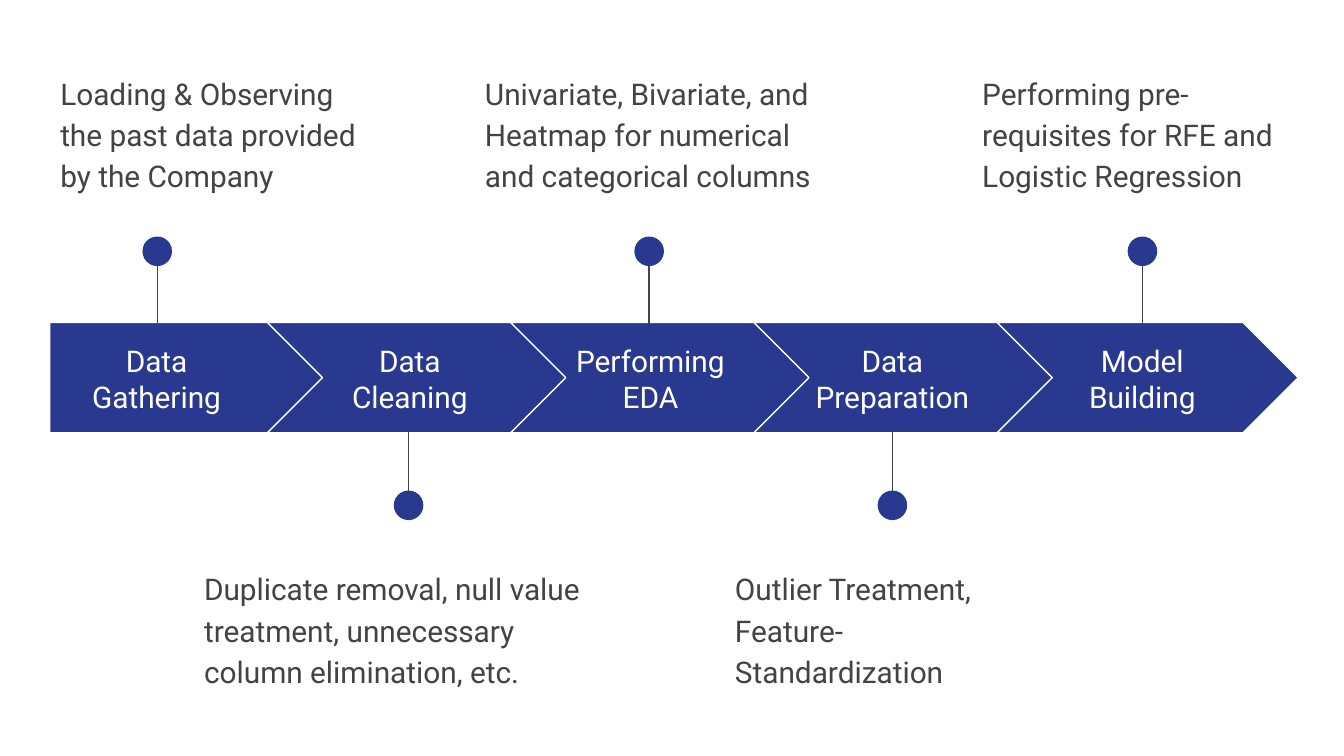
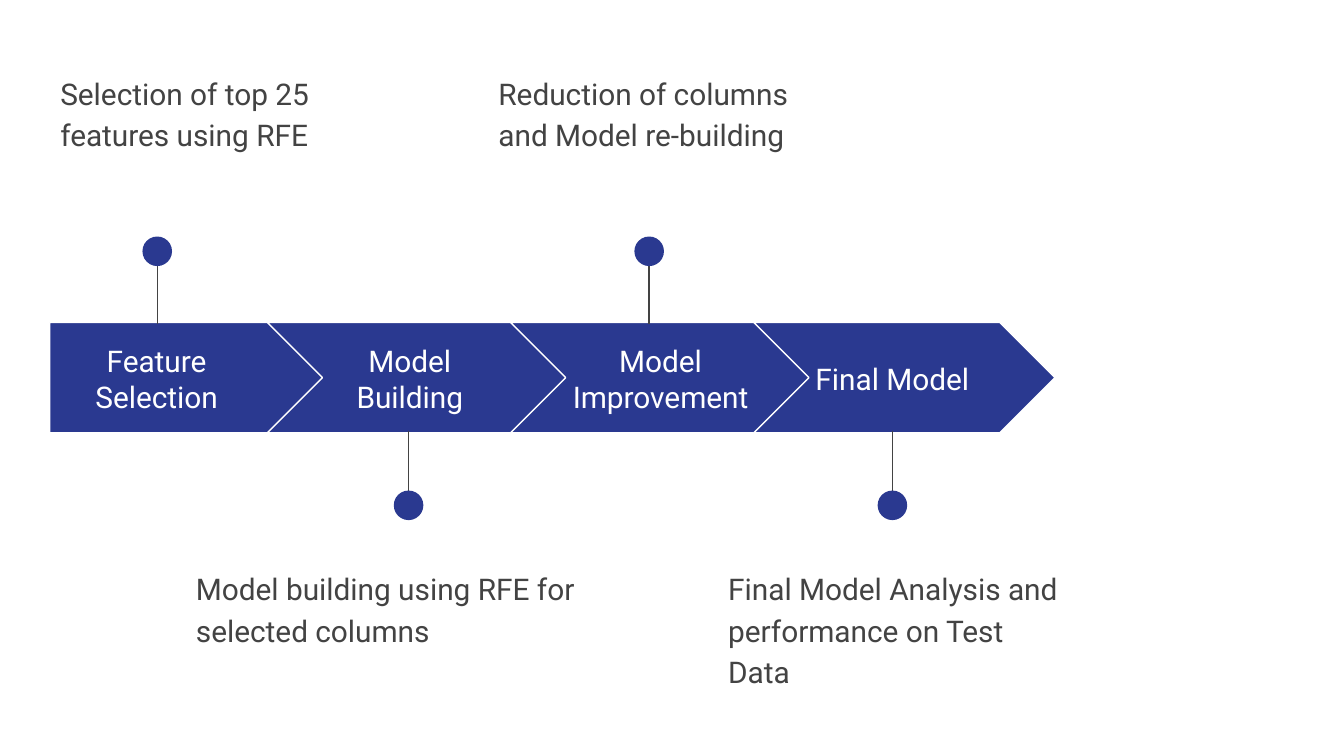
from lxml.etree import SubElement
from pptx import Presentation
from pptx.dml.color import RGBColor
from pptx.enum.shapes import MSO_CONNECTOR, MSO_SHAPE
from pptx.enum.text import MSO_ANCHOR, PP_ALIGN
from pptx.oxml.ns import qn
from pptx.util import Inches, Pt

BLUE = RGBColor(0x2A, 0x39, 0x90)
GREY = RGBColor(0x43, 0x43, 0x43)
WHITE = RGBColor(0xFF, 0xFF, 0xFF)
FONT = "Roboto"

ARROW_TOP, ARROW_HEIGHT = 2.4, 0.82
ARROW_BOTTOM = ARROW_TOP + ARROW_HEIGHT
FIRST_LEFT, FIRST_WIDTH = 0.37, 2.05
CHEVRON_LEFT, CHEVRON_WIDTH, CHEVRON_STEP = 1.99, 2.24, 1.81
LABEL_LEFTS = (0.37, 2.33, 4.12, 5.92, 7.78)
PIN_CENTERS = (1.17, 3.04, 4.83, 6.64, 8.5)
DOT = 0.22
DOT_TOP_ABOVE, DOT_TOP_BELOW = 1.76, 3.65
NOTE_TOP_ABOVE, NOTE_TOP_BELOW, NOTE_HEIGHT = 0.42, 4.11, 0.99

# Each step: label, label width, note, note left, note width
PROCESSES = [
    [
        ("Data Gathering", 1.59,
         "Loading & Observing the past data provided by the Company", 0.35, 2.45),
        ("Data Cleaning", 1.44,
         "Duplicate removal, null value treatment, unnecessary column elimination, etc.",
         1.42, 3.2),
        ("Performing EDA", 1.44,
         "Univariate, Bivariate, and Heatmap for numerical and categorical columns",
         3.51, 2.65),
        ("Data Preparation", 1.44,
         "Outlier Treatment, Feature-Standardization", 5.37, 2.55),
        ("Model Building", 1.44,
         "Performing pre-requisites for RFE and Logistic Regression", 7.21, 2.55),
    ],
    [
        ("Feature Selection", 1.59,
         "Selection of top 25 features using RFE", 0.35, 2.45),
        ("Model Building", 1.44,
         "Model building using RFE for selected columns", 1.36, 3.36),
        ("Model Improvement", 1.59,
         "Reduction of columns and Model re-building", 3.61, 2.45),
        ("Final Model", 1.44,
         "Final Model Analysis and performance on Test Data", 5.32, 2.74),
    ],
]


def add_text(slide, text, left, top, width, height, color):
    """Add a wrapped text box and return its frame for further formatting."""
    frame = slide.shapes.add_textbox(
        Inches(left), Inches(top), Inches(width), Inches(height)).text_frame
    frame.word_wrap = True
    frame.margin_left = frame.margin_right = Inches(0.1)
    frame.margin_top = frame.margin_bottom = Inches(0.1)
    frame.text = text
    font = frame.paragraphs[0].runs[0].font
    font.name = FONT
    font.size = Pt(16)
    font.color.rgb = color
    return frame


def add_pin(slide, center, above):
    """Add a grouped stem and dot that tie an arrow to its note."""
    dot_top = DOT_TOP_ABOVE if above else DOT_TOP_BELOW
    stem_start, stem_end = (1.8, ARROW_TOP + 0.01) if above else (3.82, ARROW_BOTTOM - 0.01)
    pin = slide.shapes.add_group_shape()
    stem = pin.shapes.add_connector(
        MSO_CONNECTOR.STRAIGHT, Inches(center), Inches(stem_start),
        Inches(center), Inches(stem_end))
    stem.line.color.rgb = GREY
    stem.line.width = Pt(0.75)
    SubElement(stem.element.spPr, qn("a:effectLst"))
    dot = pin.shapes.add_shape(
        MSO_SHAPE.OVAL, Inches(center - DOT / 2), Inches(dot_top),
        Inches(DOT), Inches(DOT))
    dot.shadow.inherit = False
    dot.fill.solid()
    dot.fill.fore_color.rgb = BLUE
    dot.line.fill.background()


prs = Presentation()
prs.slide_width = Inches(10)
prs.slide_height = Inches(10 * 9 / 16)

for steps in PROCESSES:
    slide = prs.slides.add_slide(prs.slide_layouts[6])
    for i, (label, label_width, note, note_left, note_width) in enumerate(steps):
        above = i % 2 == 0
        if i == 0:
            outline, left, width = MSO_SHAPE.PENTAGON, FIRST_LEFT, FIRST_WIDTH
        else:
            outline, width = MSO_SHAPE.CHEVRON, CHEVRON_WIDTH
            left = CHEVRON_LEFT + (i - 1) * CHEVRON_STEP
        arrow = slide.shapes.add_shape(
            outline, Inches(left), Inches(ARROW_TOP), Inches(width), Inches(ARROW_HEIGHT))
        arrow.shadow.inherit = False
        arrow.adjustments[0] = 0.5
        arrow.fill.solid()
        arrow.fill.fore_color.rgb = BLUE
        arrow.line.color.rgb = WHITE
        arrow.line.width = Pt(0.75)

        label_frame = add_text(slide, label, LABEL_LEFTS[i], 2.56, label_width, 0.51, WHITE)
        label_frame.vertical_anchor = MSO_ANCHOR.MIDDLE
        label_frame.paragraphs[0].alignment = PP_ALIGN.CENTER

        add_pin(slide, PIN_CENTERS[i], above)

        note_top = NOTE_TOP_ABOVE if above else NOTE_TOP_BELOW
        note_frame = add_text(slide, note, note_left, note_top, note_width, NOTE_HEIGHT, GREY)
        note_frame.paragraphs[0].line_spacing = 1.15
        note_frame.paragraphs[0].space_after = Pt(16)

prs.save("out.pptx")
